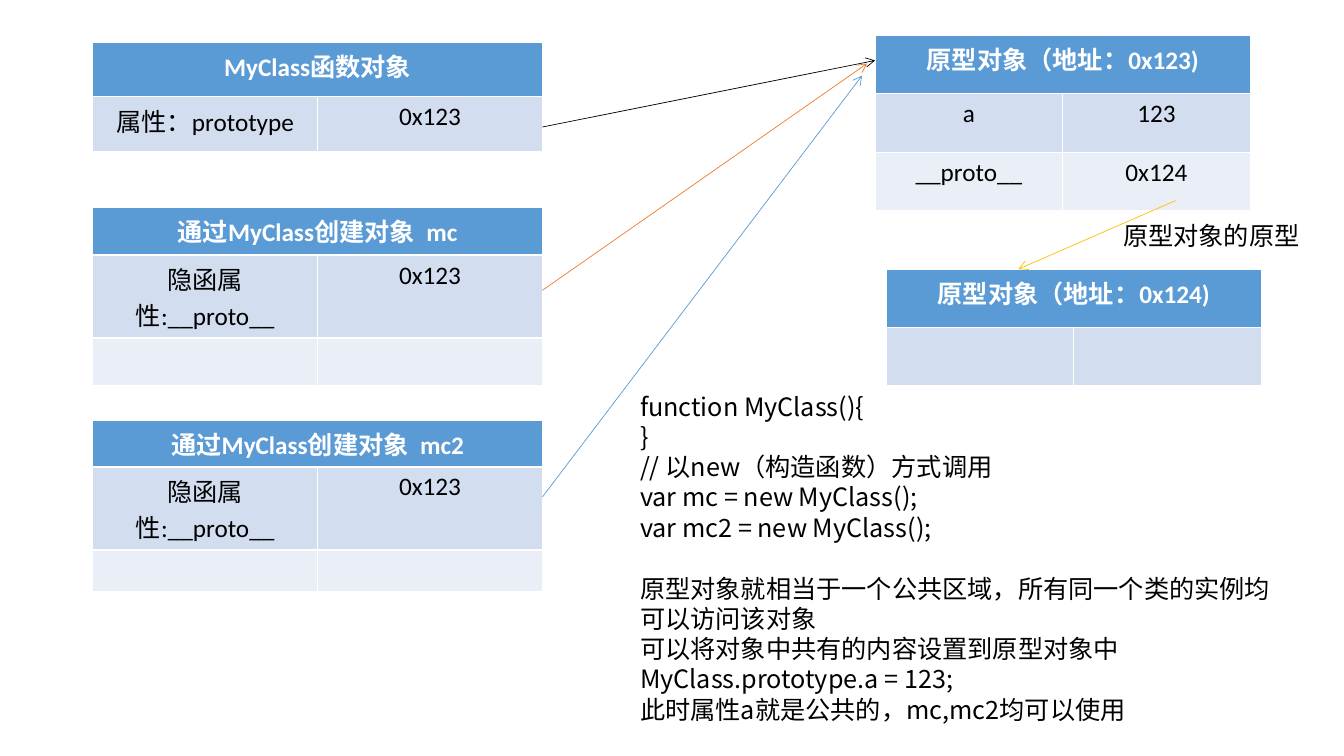
from pptx import Presentation
from pptx.dml.color import RGBColor
from pptx.enum.shapes import MSO_CONNECTOR
from pptx.enum.text import MSO_AUTO_SIZE, PP_ALIGN
from pptx.oxml.ns import qn
from pptx.util import Inches, Pt
from lxml.etree import SubElement

CJK = "Noto Sans CJK SC"
HEADER, BANDS = "5B9BD5", ("D2DEEF", "EAEFF7")


def rgb(value):
    return RGBColor.from_string(value)


def style(p, font, color="000000", bold=False):
    for r in p.runs:
        r.font.size = Pt(18)
        r.font.name = font
        r.font.bold = bold
        r.font.color.rgb = rgb(color)
        SubElement(r.font._element, qn("a:ea")).set("typeface", CJK)


prs = Presentation()
prs.slide_width, prs.slide_height = Inches(13.33), Inches(7.5)
s = prs.slides.add_slide(prs.slide_layouts[6])

# Object tables: left, top, column width, row heights, title, body rows
instance_rows = [("隐函属性:__proto__", "0x123"), ("", "")]
tables = [
    (0.92, 0.42, 2.23, [0.54, 0.54], "MyClass函数对象",
     [("属性：prototype", "0x123")]),
    (0.92, 2.06, 2.23, [0.47, 0.7, 0.47], "通过MyClass创建对象  mc", instance_rows),
    (0.92, 4.17, 2.23, [0.41, 0.7, 0.41], "通过MyClass创建对象  mc2", instance_rows),
    (8.68, 0.35, 1.86, [0.58] * 3, "原型对象（地址：0x123)",
     [("a", "123"), ("__proto__", "0x124")]),
    (8.79, 2.67, 1.86, [0.58] * 2, "原型对象（地址：0x124)", [("", "")]),
]
for left, top, col_width, heights, title, body in tables:
    table = s.shapes.add_table(
        len(heights), 2, Inches(left), Inches(top),
        Inches(2 * col_width), Inches(sum(heights))).table
    for column in table.columns:
        column.width = Inches(col_width)
    for row, height in zip(table.rows, heights):
        row.height = Inches(height)
    for i, texts in enumerate([(title, "")] + body):
        for j, text in enumerate(texts):
            cell = table.cell(i, j)
            cell.fill.solid()
            cell.fill.fore_color.rgb = rgb(BANDS[(i - 1) % 2] if i else HEADER)
            if text:
                p = cell.text_frame.paragraphs[0]
                p.text = text
                p.alignment = PP_ALIGN.CENTER
                style(p, "Calibri", "000000" if i else "FFFFFF", i == 0)
    table.cell(0, 0).merge(table.cell(0, 1))

# Arrows to the prototype objects
arrows = [
    (5.38, 1.26, 8.68, 0.6, "000000"),
    (5.38, 2.88, 8.6, 0.63, "ED7D31"),
    (5.38, 4.93, 8.55, 0.75, "5B9BD5"),
    (11.66, 1.99, 10.1, 2.67, "FFC000"),
]
for *ends, color in arrows:
    arrow = s.shapes.add_connector(MSO_CONNECTOR.STRAIGHT, *map(Inches, ends))
    arrow.line.color.rgb = rgb(color)
    arrow.line.width = Pt(0.5)
    SubElement(arrow.line._get_or_add_ln(), qn("a:tailEnd")).set("type", "arrow")
    SubElement(arrow._element.spPr, qn("a:effectLst"))

# Code with explanation, and the arrow label
code = [
    "function MyClass(){",
    "}",
    "// 以new（构造函数）方式调用",
    "var mc = new MyClass();",
    "var mc2 = new MyClass();",
]
explanation = [
    "原型对象就相当于一个公共区域，所有同一个类的实例均可以访问该对象",
    "可以将对象中共有的内容设置到原型对象中",
    "MyClass.prototype.a = 123;",
    "此时属性a就是公共的，mc,mc2均可以使用",
]
notes = [
    (6.25, 3.83, 6.67, 3.43, code + explanation),
    (11.04, 2.14, 2.26, 0.4, ["原型对象的原型"]),
]
for *box, lines in notes:
    tf = s.shapes.add_textbox(*map(Inches, box)).text_frame
    tf.word_wrap = True
    tf.auto_size = MSO_AUTO_SIZE.SHAPE_TO_FIT_TEXT
    tf.text = "\n".join(lines)
    for p in tf.paragraphs:
        style(p, CJK)
        if p.text == explanation[0]:
            p.space_before = Pt(22)

prs.save("out.pptx")
